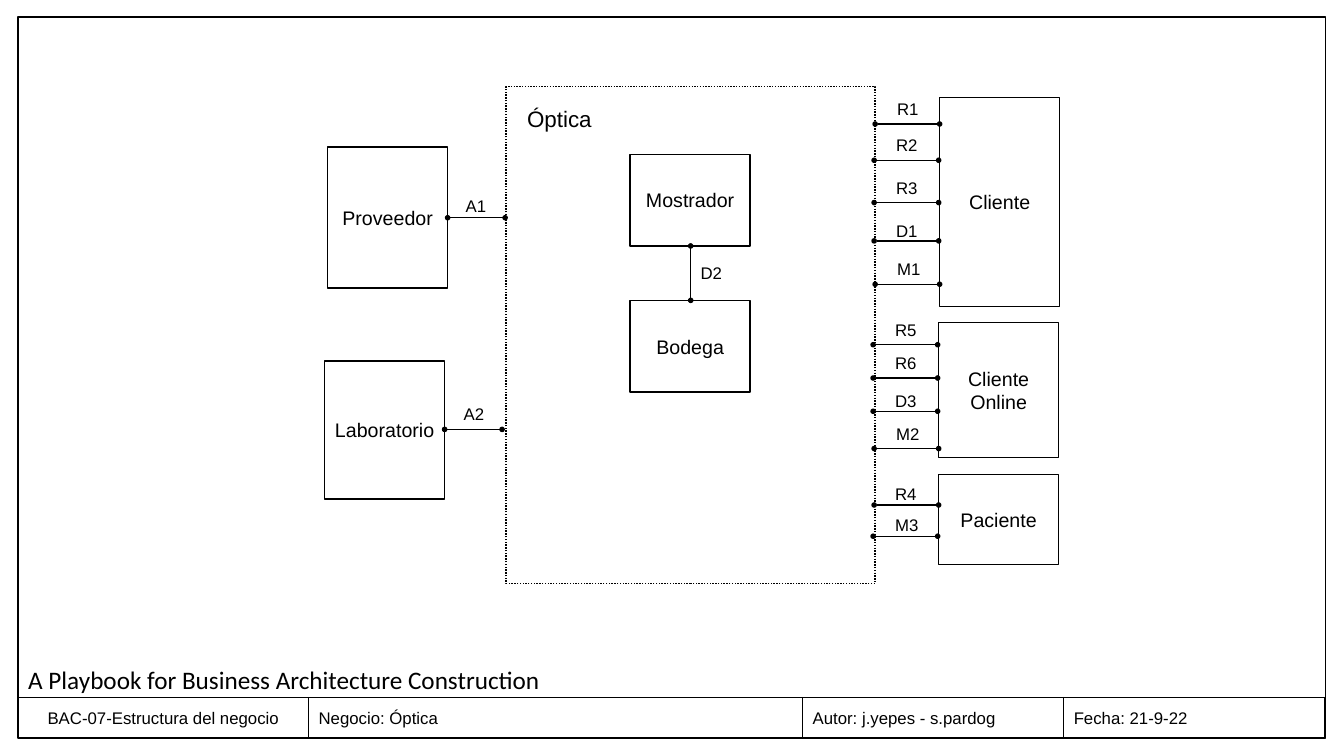
from dataclasses import dataclass
from typing import Any

from lxml import etree
from pptx import Presentation
from pptx.dml.color import RGBColor
from pptx.enum.dml import MSO_LINE
from pptx.enum.shapes import MSO_CONNECTOR, MSO_SHAPE
from pptx.enum.text import MSO_ANCHOR, MSO_AUTO_SIZE, PP_ALIGN
from pptx.oxml.ns import qn
from pptx.util import Inches, Pt

RECT, LINE = MSO_SHAPE.RECTANGLE, MSO_CONNECTOR.STRAIGHT
LEFT, CENTER = PP_ALIGN.LEFT, PP_ALIGN.CENTER
TOP, MIDDLE = MSO_ANCHOR.TOP, MSO_ANCHOR.MIDDLE
DOTS, FIXED = MSO_LINE.ROUND_DOT, MSO_AUTO_SIZE.NONE


@dataclass(frozen=True)
class Theme:
    ink: RGBColor = RGBColor(0, 0, 0)
    paper: RGBColor = RGBColor(255, 255, 255)
    font: str = "Arial"
    head: str = "Calibri"
    small: int = 12
    node: int = 14
    area: int = 16
    title: int = 18
    rule: int = 1


@dataclass(frozen=True)
class Node:
    text: str
    left: float
    top: float
    high: float
    wide: float = 1.19
    pad: float = 0.1


@dataclass(frozen=True)
class Link:
    """A line from x, y; its label starts at an offset from that point."""
    text: str
    x: float
    y: float
    lift: float = 0.3
    shift: float = 0.12
    wide: float = 0.64
    high: float = 0


THEME = Theme()

NODES = [
    Node("Cliente", 9.32, 0.97, 2.07),
    Node("Cliente Online", 9.31, 3.2, 1.34),
    Node("Paciente", 9.31, 4.71, 0.89),
    Node("Proveedor", 3.25, 1.46, 1.4, pad=0.04),
    Node("Laboratorio", 3.22, 3.58, 1.37, pad=0.04),
    Node("Mostrador", 6.25, 1.53, 0.91, pad=0.04),
    Node("Bodega", 6.25, 2.98, 0.91, pad=0.04),
]

LINKS = [
    Link("R1", 8.68, 1.23),
    Link("R2", 8.67, 1.59),
    Link("R3", 8.67, 2.01),
    Link("D1", 8.67, 2.39, lift=0.25),
    Link("M1", 8.68, 2.82),
    Link("R5", 8.66, 3.42),
    Link("R6", 8.66, 3.75),
    Link("D3", 8.66, 4.08, lift=0.25),
    Link("M2", 8.67, 4.45),
    Link("R4", 8.67, 5.01, lift=0.26, shift=0.11),
    Link("M3", 8.66, 5.32, lift=0.26),
    Link("A1", 4.44, 2.16, lift=0.27, shift=0.08, wide=0.57),
    Link("A2", 4.41, 4.26, shift=0.09, wide=0.57),
    Link("D2", 6.85, 2.44, lift=-0.12, shift=0, wide=0, high=0.54),
]

CELLS = [
    ("BAC-07-Estructura del negocio", 2.88),
    ("Negocio: Óptica", 4.9),
    ("Autor: j.yepes - s.pardog", 2.59),
    ("Fecha: 21-9-22", 2.59),
]


def write(frame: Any, text: str, size: int, align: Any = LEFT,
          font: str = THEME.font) -> None:
    frame.text = text
    para = frame.paragraphs[0]
    para.alignment = align
    style = para.runs[0].font
    style.size, style.name = Pt(size), font
    style.color.rgb = THEME.ink


def stroke(line: Any) -> None:
    line.color.rgb = THEME.ink
    line.width = Pt(THEME.rule)


def box(left: float, top: float, wide: float, high: float) -> Any:
    shape = slide.shapes.add_shape(
        RECT, Inches(left), Inches(top), Inches(wide), Inches(high))
    shape.shadow.inherit = False
    shape.fill.solid()
    shape.fill.fore_color.rgb = THEME.paper
    stroke(shape.line)
    return shape


def label(text: str, left: float, top: float, wide: float, high: float,
          size: int) -> None:
    shape = slide.shapes.add_textbox(
        Inches(left), Inches(top), Inches(wide), Inches(high))
    frame = shape.text_frame
    frame.word_wrap = False
    frame.margin_right = 0
    write(frame, text, size)


def draw_node(node: Node) -> None:
    frame = box(node.left, node.top, node.wide, node.high).text_frame
    frame.word_wrap = True
    frame.vertical_anchor = MIDDLE
    frame.margin_left = frame.margin_right = Inches(node.pad)
    write(frame, node.text, THEME.node, CENTER)


def draw_link(link: Link) -> None:
    wire = slide.shapes.add_connector(
        LINE, Inches(link.x), Inches(link.y),
        Inches(link.x + link.wide), Inches(link.y + link.high))
    stroke(wire.line)
    line = wire.line._get_or_add_ln()
    for end in ("a:headEnd", "a:tailEnd"):
        etree.SubElement(line, qn(end), type="oval", w="sm", len="sm")
    etree.SubElement(wire._element.spPr, qn("a:effectLst"))
    label(link.text, link.x + link.shift, link.y - link.lift,
          0.44, 0.3, THEME.small)


def edge(cell: Any) -> None:
    props = cell._tc.get_or_add_tcPr()
    for spot, side in enumerate(("a:lnL", "a:lnR", "a:lnT", "a:lnB")):
        line = etree.Element(qn(side), w=str(Pt(THEME.rule)))
        fill = etree.SubElement(line, qn("a:solidFill"))
        etree.SubElement(fill, qn("a:srgbClr"), val=str(THEME.ink))
        props.insert(spot, line)


def draw_strip() -> None:
    table = slide.shapes.add_table(
        1, len(CELLS), Inches(0.18), Inches(6.92),
        Inches(12.97), Inches(0.41)).table
    table.first_row = table.horz_banding = False
    table.rows[0].height = Inches(0.41)
    for spot, (text, wide) in enumerate(CELLS):
        table.columns[spot].width = Inches(wide)
        cell = table.cell(0, spot)
        cell.fill.background()
        cell.vertical_anchor = MIDDLE
        write(cell.text_frame, text, THEME.small, LEFT if spot else CENTER)
        edge(cell)


deck = Presentation()
deck.slide_width, deck.slide_height = Inches(13.33), Inches(7.5)
slide = deck.slides.add_slide(deck.slide_layouts[5])

# Title
title = slide.shapes.title
title.left, title.top = Inches(0.18), Inches(6.54)
title.width, title.height = Inches(6.66), Inches(0.4)
title.text_frame.auto_size = FIXED
title.text_frame.vertical_anchor = TOP
write(title.text_frame, "A Playbook for Business Architecture Construction",
      THEME.title, font=THEME.head)

# Page frame and footer strip
box(0.18, 0.17, 12.97, 7.15).fill.background()
draw_strip()

# Business area
area = box(5.02, 0.86, 3.66, 4.93)
area.line.dash_style = DOTS
label("Óptica", 5.13, 0.99, 0.85, 0.37, THEME.area)

# Parties and their links
for node in NODES:
    draw_node(node)
for link in LINKS:
    draw_link(link)

deck.save("out.pptx")
